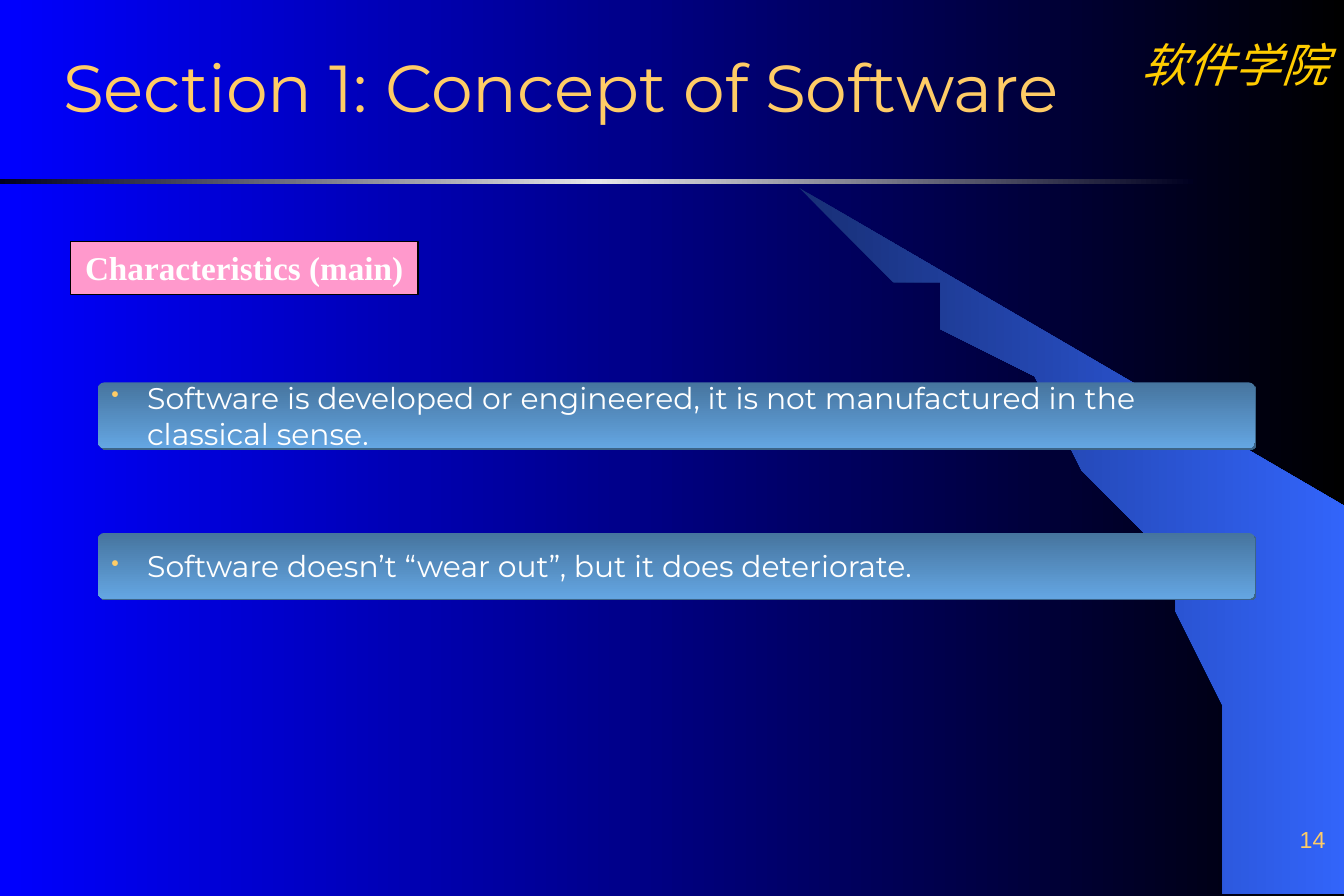
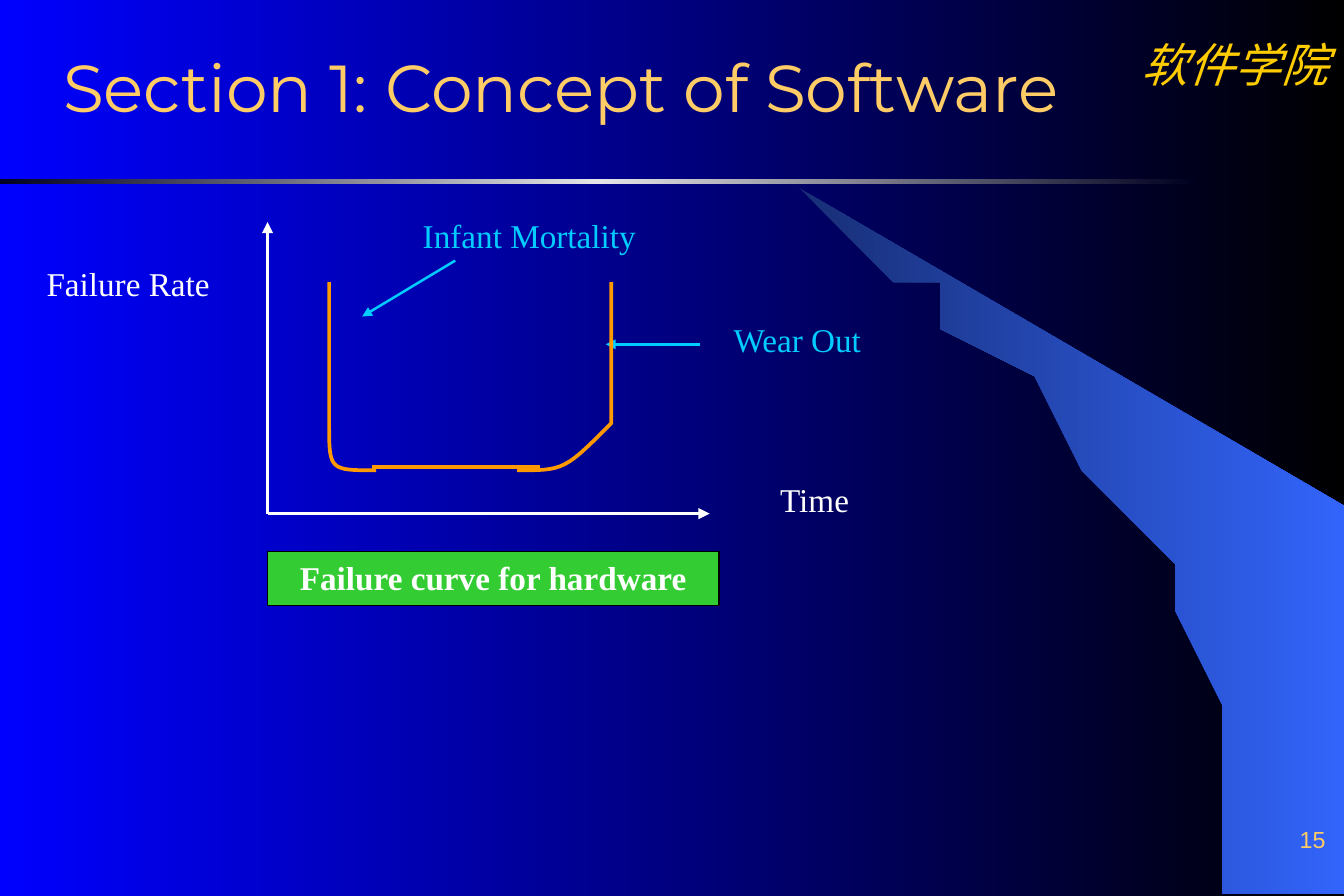
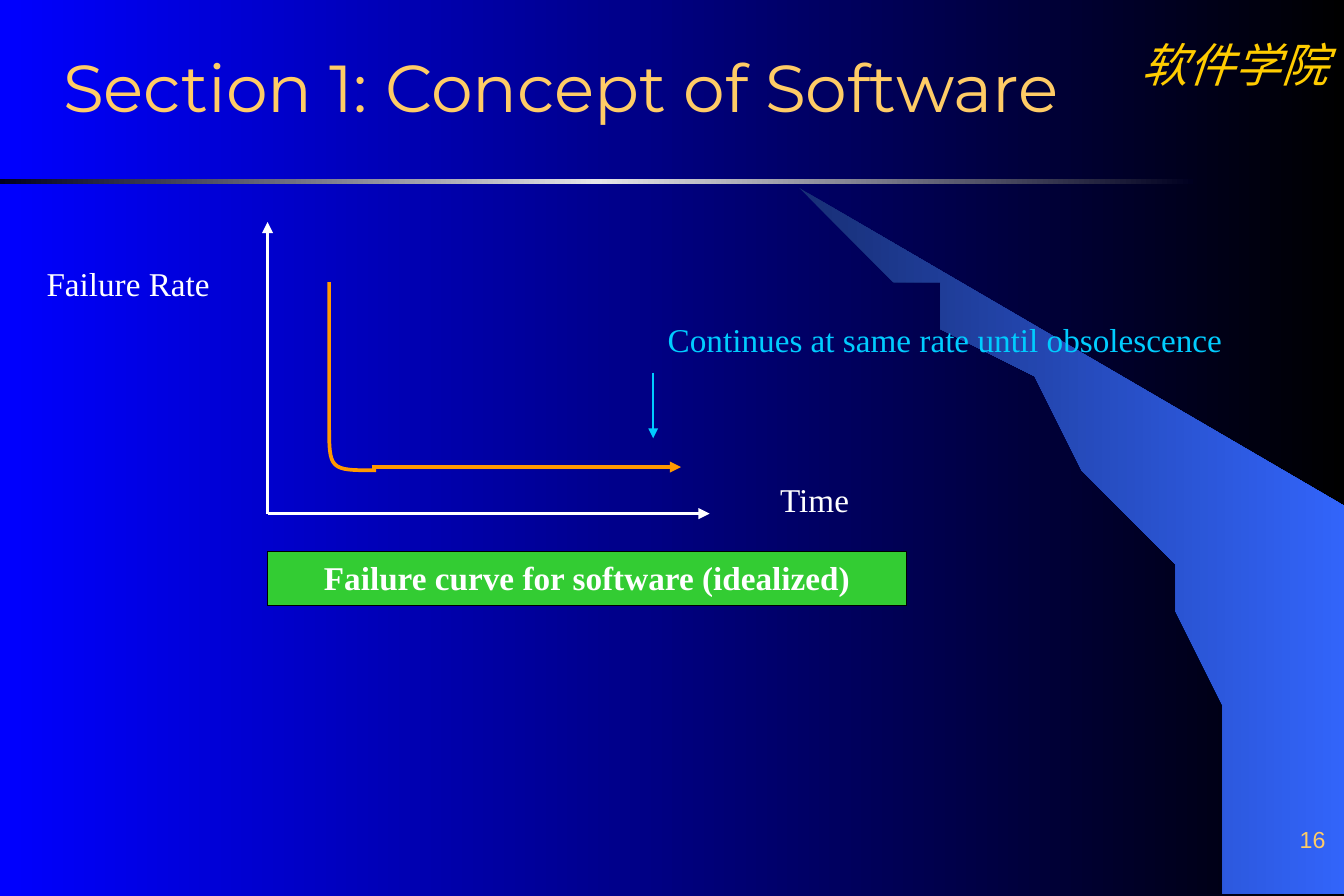
from copy import deepcopy

from lxml import etree
from pptx import Presentation
from pptx import util as u
from pptx.dml.color import RGBColor
from pptx.enum import shapes, text
from pptx.oxml.ns import qn

COLOURS = {
    "blue": "0000FF", "black": "000000", "white": "FFFFFF",
    "wedge_dark": "182F76", "wedge_light": "3366FF",
    "band_dark": "000020", "band_light": "E5E5E8",
    "gold": "FFCC00", "sand": "FFCC66", "pink": "FF99CC", "green": "33CC33",
    "panel_dark": "46749E", "panel_light": "64A6E2", "panel_shadow": "3C6488",
    "cyan": "00CCFF", "orange": "FF9900",
}

LEFT, CENTRE, RIGHT = (text.PP_ALIGN.LEFT, text.PP_ALIGN.CENTER, text.PP_ALIGN.RIGHT)
TOP, MIDDLE, BOTTOM = (text.MSO_ANCHOR.TOP, text.MSO_ANCHOR.MIDDLE, text.MSO_ANCHOR.BOTTOM)
SERIF = "Times New Roman"


def style(name, size, colour, alignment=LEFT, anchor=TOP, margins=(0.25, 0.13),
          spacing=1.0, **font):
    return {
        "font": {"name": name, "size": u.Pt(size), **font},
        "colour": colour,
        "paragraph": {"alignment": alignment, "line_spacing": spacing},
        "frame": {
            "word_wrap": True,
            "auto_size": text.MSO_AUTO_SIZE.NONE,
            "vertical_anchor": anchor,
            "margin_left": u.Cm(margins[0]), "margin_right": u.Cm(margins[0]),
            "margin_top": u.Cm(margins[1]), "margin_bottom": u.Cm(margins[1]),
        },
    }


STYLES = {
    "title": style("Montserrat", 40, "sand", anchor=MIDDLE),
    "college": style(SERIF, 28, "gold", CENTRE, italic=True),
    "number": style("Arial", 14, "sand", RIGHT, BOTTOM, (0.25, 0)),
    "caption": style(SERIF, 20, "white", CENTRE, bold=True),
    "panel": style("Montserrat", 18, "white", anchor=MIDDLE, margins=(0.25, 0)),
    "axis": style(SERIF, 20, "white", margins=(0.51, 0.13), spacing=1.4),
    "note": style(SERIF, 20, "cyan", margins=(0.51, 0.13), spacing=1.4),
}

WEDGE = [
    (26.29, 19), (28.52, 19.02), (28.52, 10.74), (16.84, 4.39), (17.83, 5.05),
    (18.64, 5.64), (19.58, 6.35), (20.47, 7.11), (21.77, 8.38), (22.94, 9.75),
    (23.77, 10.95), (24.51, 12.17), (25.1, 13.41), (25.53, 14.53),
    (25.81, 15.47), (26.09, 16.66), (26.21, 17.68),
]
FALLING_CURVE = [(6.68, 5.92), (6.68, 7.14), (6.68, 8.33), (6.88, 8.99),
                 (7.09, 9.68), (7.49, 9.8), (7.9, 9.93)]
RISING_CURVE = [(12.88, 5.92), (12.88, 7.14), (12.88, 8.33), (12.62, 8.99),
                (12.34, 9.68), (11.81, 9.8), (11.28, 9.93)]
FLOOR_START = FALLING_CURVE[-1]
ORIGIN = (5.69, 10.92)
LABEL_HEIGHT = 1.45


def rgb(colour):
    return RGBColor.from_string(COLOURS[colour])


def lengths(values):
    return [u.Cm(value) for value in values]


def set_all(target, values):
    for name, value in values.items():
        setattr(target, name, value)


def write(shape, content, style_name):
    chosen = STYLES[style_name]
    frame = shape.text_frame
    set_all(frame, chosen["frame"])
    paragraph = frame.paragraphs[0]
    set_all(paragraph, chosen["paragraph"])
    run = paragraph.add_run()
    run.text = content
    set_all(run.font, chosen["font"])
    run.font.color.rgb = rgb(chosen["colour"])
    return paragraph


def paint_gradient(fill, element, colours, angle=0):
    fill.gradient()
    fill.gradient_angle = angle
    stop_list = element.find(".//" + qn("a:gsLst"))
    for _ in colours[2:]:
        stop_list.append(deepcopy(stop_list[0]))
    for index, (stop, colour) in enumerate(zip(fill.gradient_stops, colours)):
        stop.position = index / (len(colours) - 1)
        stop.color.rgb = rgb(colour)


def add_box(slide, kind, box):
    shape = slide.shapes.add_shape(kind, *lengths(box))
    shape.shadow.inherit = False
    shape.line.fill.background()
    return shape


def add_label(slide, content, box, style_name):
    shape = slide.shapes.add_textbox(*lengths(box))
    write(shape, content, style_name)
    return shape


def add_caption(slide, content, box, colour):
    shape = add_box(slide, shapes.MSO_SHAPE.RECTANGLE, box)
    shape.fill.solid()
    shape.fill.fore_color.rgb = rgb(colour)
    shape.line.color.rgb = rgb("black")
    shape.line.width = u.Pt(0.75)
    write(shape, content, "caption")


def add_bullet(paragraph):
    properties = paragraph._p.get_or_add_pPr()
    properties.set("marL", str(u.Cm(0.76)))
    properties.set("indent", str(-u.Cm(0.76)))
    colour = etree.SubElement(properties, qn("a:buClr"))
    etree.SubElement(colour, qn("a:srgbClr"), val=COLOURS["sand"])
    etree.SubElement(properties, qn("a:buSzPct"), val="75000")
    etree.SubElement(properties, qn("a:buChar"), char="•")


def add_panel(slide, content, box):
    shape = add_box(slide, shapes.MSO_SHAPE.ROUNDED_RECTANGLE, box)
    shape.adjustments[0] = 0.1
    paint_gradient(shape.fill, shape.element, ["panel_dark", "panel_light"], 270)
    effects = shape.element.spPr.find(qn("a:effectLst"))
    shadow = etree.SubElement(effects, qn("a:outerShdw"), blurRad="0",
                              dist=str(u.Pt(1.4)), dir="2700000", algn="ctr")
    etree.SubElement(shadow, qn("a:srgbClr"), val=COLOURS["panel_shadow"])
    add_bullet(write(shape, content, "panel"))


def add_line(slide, start, end, colour, width, arrow=True):
    connector = slide.shapes.add_connector(
        shapes.MSO_CONNECTOR.STRAIGHT, *lengths(start + end))
    connector.line.color.rgb = rgb(colour)
    connector.line.width = u.Pt(width)
    if arrow:
        etree.SubElement(connector.line._get_or_add_ln(), qn("a:tailEnd"), type="triangle")
    etree.SubElement(connector.element.spPr, qn("a:effectLst"))


def add_outline(slide, points, close):
    builder = slide.shapes.build_freeform(*points[0], scale=u.Cm(1))
    builder.add_line_segments(points[1:], close=close)
    shape = builder.convert_to_shape()
    shape.shadow.inherit = False
    return shape


def add_curve(slide, points):
    shape = add_outline(slide, points, False)
    shape.fill.background()
    shape.line.color.rgb = rgb("orange")
    shape.line.width = u.Pt(2.25)
    outline = shape.element.find(".//" + qn("a:path"))
    segments = outline.findall(qn("a:lnTo"))
    for first in range(0, len(segments), 3):
        bezier = etree.SubElement(outline, qn("a:cubicBezTo"))
        for segment in segments[first:first + 3]:
            bezier.append(segment[0])
            outline.remove(segment)


def decorate(presentation, layout, slide):
    master = presentation.slide_master
    paint_gradient(master.background.fill, master.element, ["blue", "black"])
    college = add_label(slide, "软件学院", (23.93, 0.64, 4.65, LABEL_HEIGHT), "college")
    wedge = add_outline(slide, WEDGE, True)
    wedge.line.fill.background()
    paint_gradient(wedge.fill, wedge.element, ["wedge_dark", "wedge_light"])
    band = add_box(slide, shapes.MSO_SHAPE.RECTANGLE, (0, 3.81, 25.37, 0.1))
    paint_gradient(band.fill, band.element, ["band_dark", "band_light", "band_dark"])
    for shape in (college, wedge, band):
        layout.shapes.element.append(shape.element)


def start_slide(slide, number):
    title = slide.shapes.title
    set_all(title, dict(zip(("left", "top", "width", "height"),
                            lengths((1.09, 1.12, 26.42, 1.4)))))
    write(title, "Section 1: Concept of Software", "title")
    add_label(slide, str(number), (22.5, 17.07, 5.94, 1.07), "number")


def add_characteristics(slide):
    add_caption(slide, "Characteristics (main)", (1.5, 5.13, 7.39, 1.14), "pink")
    statements = [
        "Software is developed or engineered, it is not manufactured in the classical sense.",
        "Software doesn’t “wear out”, but it does deteriorate.",
    ]
    for index, statement in enumerate(statements):
        add_panel(slide, statement, (2.08, 8.13 + 3.2 * index, 24.61, 1.4))


def add_failure_graph(slide, caption, caption_width):
    add_caption(slide, caption, (ORIGIN[0], 11.73, caption_width, 1.14), "green")
    for end in ((ORIGIN[0], 4.72), (15.09, ORIGIN[1])):
        add_line(slide, ORIGIN, end, "white", 2.25)
    add_label(slide, "Failure Rate", (0.48, 5.13, 4.6, LABEL_HEIGHT), "axis")
    add_label(slide, "Time", (16.08, 9.73, 3, LABEL_HEIGHT), "axis")
    add_curve(slide, FALLING_CURVE)


def add_note(slide, content, corner, width, start, end):
    add_label(slide, content, (*corner, width, LABEL_HEIGHT), "note")
    add_line(slide, start, end, "cyan", 1.5)


def add_hardware_graph(slide):
    add_failure_graph(slide, "Failure curve for hardware", 9.6)
    add_note(slide, "Wear Out", (15.09, 6.32), 4.01, (14.88, 7.32), (12.88, 7.32))
    add_note(slide, "Infant Mortality", (8.48, 4.11), 5.59, (9.68, 5.54), (7.7, 6.73))
    add_line(slide, FLOOR_START, (11.48, 9.93), "orange", 2.25, arrow=False)
    add_curve(slide, RISING_CURVE)


def add_software_graph(slide):
    add_failure_graph(slide, "Failure curve for software (idealized)", 13.59)
    add_note(slide, "Continues at same rate until obsolescence", (13.69, 6.32), 13.79,
             (13.89, 7.92), (13.89, 9.32))
    add_line(slide, FLOOR_START, (14.48, 9.93), "orange", 2.25)


def main():
    presentation = Presentation()
    presentation.slide_width = u.Cm(28.58)
    presentation.slide_height = u.Cm(19.05)
    layout = presentation.slide_layouts[5]
    contents = [add_characteristics, add_hardware_graph, add_software_graph]
    for number, add_content in enumerate(contents, 14):
        slide = presentation.slides.add_slide(layout)
        if add_content is contents[0]:
            decorate(presentation, layout, slide)
        start_slide(slide, number)
        add_content(slide)
    presentation.save("out.pptx")


if __name__ == "__main__":
    main()
